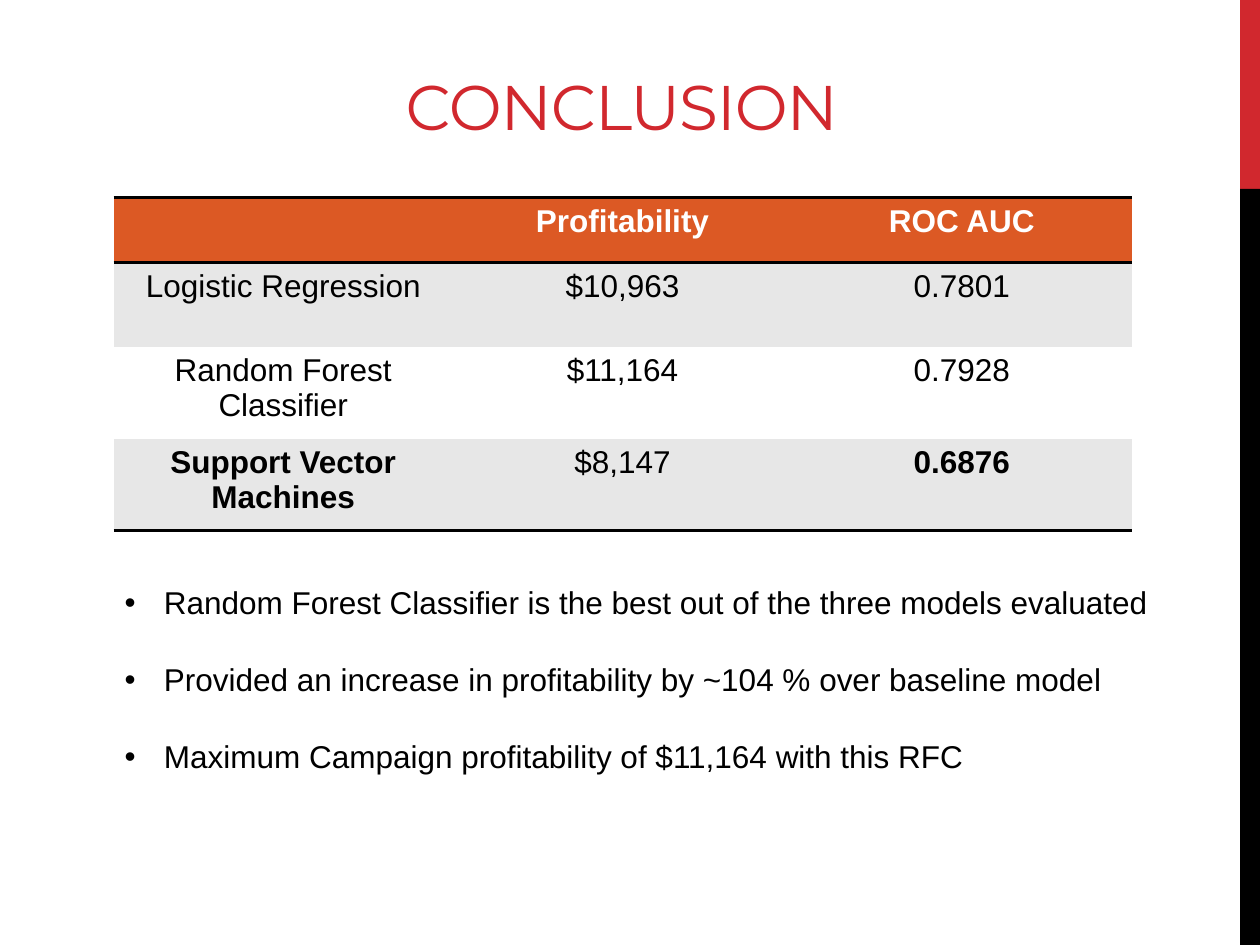
from dataclasses import dataclass

from lxml.etree import SubElement
from pptx import Presentation
from pptx.dml.color import RGBColor
from pptx.enum.shapes import MSO_SHAPE
from pptx.enum.text import MSO_ANCHOR, MSO_AUTO_SIZE, PP_ALIGN
from pptx.oxml import parse_xml
from pptx.oxml.ns import nsdecls, qn
from pptx.util import Cm, Pt


@dataclass(frozen=True)
class Theme:
    red: str = "D1282E"
    black: str = "000000"
    white: str = "FFFFFF"
    orange: str = "DC5924"
    grey: str = "E7E7E7"
    title_font: str = "Montserrat"
    body_font: str = "Arial"
    title_size: int = 36
    body_size: int = 18
    rule_width: int = 2


@dataclass(frozen=True)
class Box:
    left: float
    top: float
    width: float
    height: float

    def lengths(self) -> tuple:
        return Cm(self.left), Cm(self.top), Cm(self.width), Cm(self.height)


@dataclass(frozen=True)
class Band:
    box: Box
    color: str


@dataclass(frozen=True)
class TableRow:
    height: float
    texts: tuple
    fill: str
    color: str = "000000"
    bold: tuple = (False, False, False)
    rules: tuple = ()


THEME = Theme()
NO_STYLE_NO_GRID = "{2D5ABB26-0587-4C30-8999-92F81FD0307C}"
TITLE_BOX = Box(1.27, 0.58, 22.53, 2.44)
TABLE_BOX = Box(2.29, 3.99, 20.52, 6.7)
LIST_BOX = Box(2.26, 11.63, 21.31, 4.11)
BULLET_INDENT = Cm(0.79)

BANDS = (
    Band(Box(25, 0, 0.4, 3.81), THEME.red),
    Band(Box(25, 3.81, 0.4, 15.24), THEME.black),
)
ROWS = (
    TableRow(1.31, ("", "Profitability", "ROC AUC"), THEME.orange,
             THEME.white, (True, True, True), ("lnT", "lnB")),
    TableRow(1.69, ("Logistic Regression", "$10,963", "0.7801"), THEME.grey),
    TableRow(1.85, ("Random Forest Classifier", "$11,164", "0.7928"), THEME.white),
    TableRow(1.85, ("Support Vector Machines", "$8,147", "0.6876"), THEME.grey,
             bold=(True, False, True), rules=("lnB",)),
)
FINDINGS = (
    "Random Forest Classifier is the best out of the three models evaluated",
    "Provided an increase in profitability by ~104 % over baseline model",
    "Maximum Campaign profitability of $11,164 with this RFC",
)


def set_attributes(target, values: dict) -> None:
    for name, value in values.items():
        setattr(target, name, value)


def format_font(font, name: str, size: int, color: str, bold: bool = False) -> None:
    set_attributes(font, {"name": name, "size": Pt(size), "bold": bold})
    font.color.rgb = RGBColor.from_string(color)


def place(shape, box: Box) -> None:
    names = ("left", "top", "width", "height")
    set_attributes(shape, dict(zip(names, box.lengths())))


def add_band(slide, band: Band) -> None:
    shape = slide.shapes.add_shape(MSO_SHAPE.RECTANGLE, *band.box.lengths())
    shape.shadow.inherit = False
    shape.fill.solid()
    shape.fill.fore_color.rgb = RGBColor.from_string(band.color)
    shape.line.fill.background()


def fill_title(shape, text: str) -> None:
    place(shape, TITLE_BOX)
    frame = shape.text_frame
    set_attributes(frame, {"vertical_anchor": MSO_ANCHOR.BOTTOM,
                           "auto_size": MSO_AUTO_SIZE.NONE})
    paragraph = frame.paragraphs[0]
    paragraph.alignment = PP_ALIGN.CENTER
    run = paragraph.add_run()
    run.text = text
    format_font(run.font, THEME.title_font, THEME.title_size, THEME.red)
    run.font._element.set("spc", "-60")


def add_rule(cell, side: str) -> None:
    line = SubElement(cell._tc.get_or_add_tcPr(), qn(f"a:{side}"),
                      w=str(Pt(THEME.rule_width)))
    fill = SubElement(line, qn("a:solidFill"))
    SubElement(fill, qn("a:srgbClr"), val=THEME.black)


def fill_cell(cell, text: str, bold: bool, row: TableRow) -> None:
    # Border lines come before the fill in the cell properties
    for side in row.rules:
        add_rule(cell, side)
    cell.fill.solid()
    cell.fill.fore_color.rgb = RGBColor.from_string(row.fill)
    paragraph = cell.text_frame.paragraphs[0]
    paragraph.alignment = PP_ALIGN.CENTER
    if text:
        run = paragraph.add_run()
        run.text = text
        format_font(run.font, THEME.body_font, THEME.body_size, row.color, bold)


def add_results_table(slide, rows: tuple) -> None:
    columns = len(rows[0].texts)
    frame = slide.shapes.add_table(len(rows), columns, *TABLE_BOX.lengths())
    table = frame.table
    set_attributes(table, {"first_row": False, "horz_banding": False})
    table._tbl.tblPr.find(qn("a:tableStyleId")).text = NO_STYLE_NO_GRID
    for column in table.columns:
        column.width = Cm(TABLE_BOX.width / columns)
    for index, row in enumerate(rows):
        table.rows[index].height = Cm(row.height)
        for cell, text, bold in zip(table.rows[index].cells, row.texts, row.bold):
            fill_cell(cell, text, bold, row)


def fill_findings(shape, findings: tuple) -> None:
    place(shape, LIST_BOX)
    frame = shape.text_frame
    set_attributes(frame, {"vertical_anchor": MSO_ANCHOR.TOP, "word_wrap": True,
                           "auto_size": MSO_AUTO_SIZE.NONE})
    for index, text in enumerate(findings):
        paragraph = frame.add_paragraph() if index else frame.paragraphs[0]
        set_attributes(paragraph, {"space_before": Pt(0), "space_after": Pt(22.4)})
        properties = paragraph._p.get_or_add_pPr()
        properties.set("marL", str(BULLET_INDENT))
        properties.set("indent", str(-BULLET_INDENT))
        properties.append(parse_xml(f'<a:buChar {nsdecls("a")} char="•"/>'))
        run = paragraph.add_run()
        run.text = text
        format_font(run.font, THEME.body_font, THEME.body_size, THEME.black)


def main() -> None:
    presentation = Presentation()
    set_attributes(presentation, {"slide_width": Cm(25.4), "slide_height": Cm(19.05)})
    slide = presentation.slides.add_slide(presentation.slide_layouts[1])

    # Colour bands along the right edge
    for band in BANDS:
        add_band(slide, band)

    # Title, model comparison and findings
    fill_title(slide.shapes.title, "CONCLUSION")
    add_results_table(slide, ROWS)
    fill_findings(slide.placeholders[1], FINDINGS)

    presentation.save("out.pptx")


if __name__ == "__main__":
    main()
